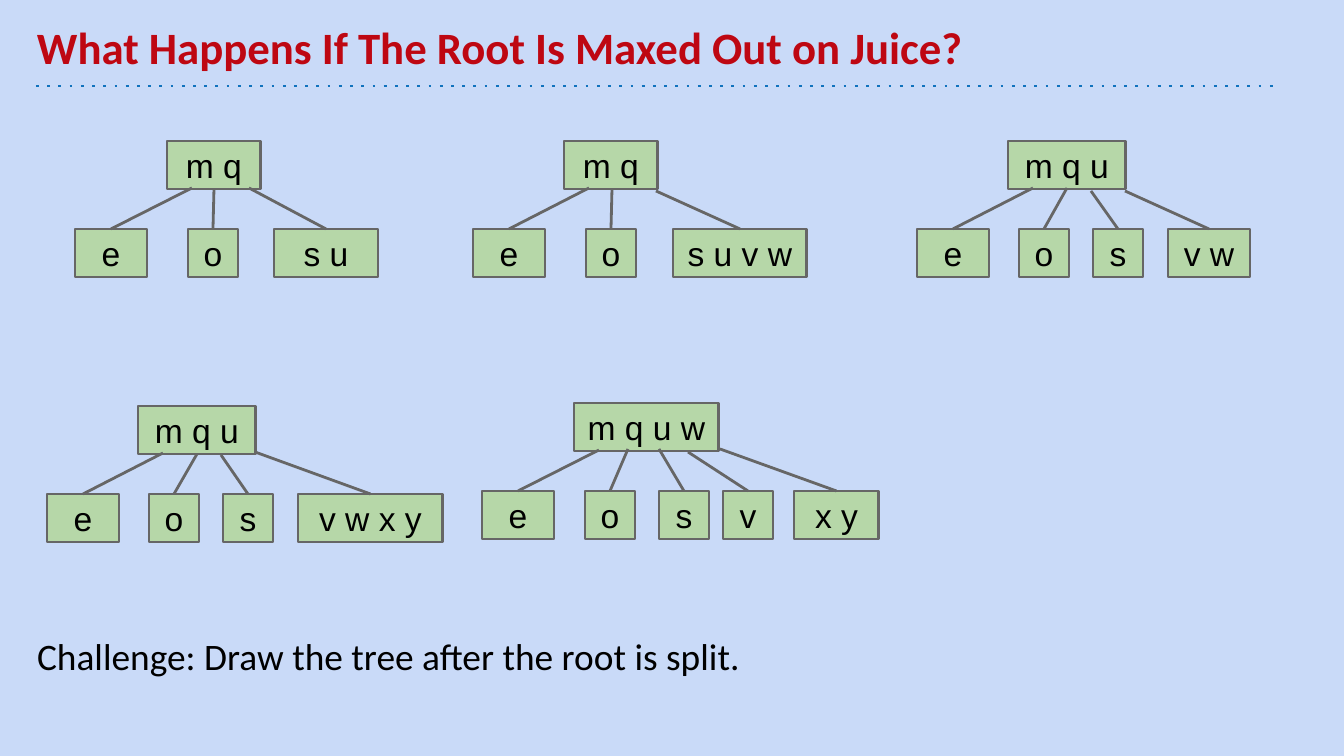
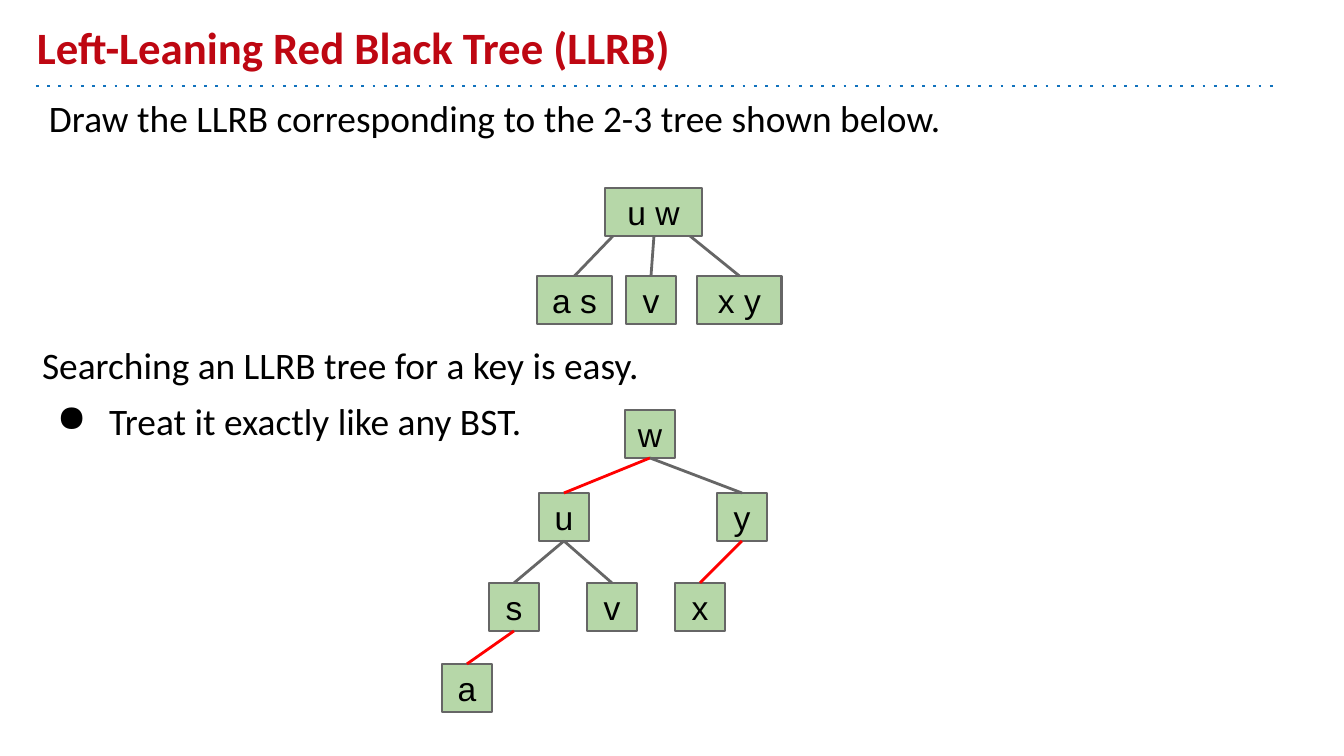
from lxml.etree import SubElement
from pptx import Presentation
from pptx.dml.color import RGBColor
from pptx.enum.shapes import MSO_CONNECTOR, MSO_SHAPE
from pptx.enum.text import MSO_ANCHOR, PP_ALIGN
from pptx.oxml.ns import qn
from pptx.util import Pt

PX = 914400 / 134.4
INSET = 13
NODE_HEIGHT = 48
CHILD_DROP = 88
KEY_WIDTH = 50
NODE_WIDTHS = {
    "e": 72, "a s": 75, "v w": 82, "x y": 85, "m q": 94, "u w": 97, "s u": 104,
    "m q u": 118, "s u v w": 134, "m q u w": 145, "v w x y": 145,
}

PALE_BLUE = "C9DAF8"
WHITE = "FFFFFF"
BLACK = "000000"
TITLE_RED = "BE0712"
RULE_BLUE = "1072BD"
NODE_GREEN = "B6D7A8"
GREY = "666666"
LINK_RED = "FF0000"

# Each tree: root keys, left, top, then children as
# (keys, left, link start from root's left edge, link start below root's bottom edge)
FILLING_TREES = [
    ("m q", 167, 141, [("e", 75, 25, -1), ("o", 188, 47, 0), ("s u", 274, 82, -1)]),
    ("m q", 564, 141, [("e", 473, 25, -1), ("o", 586, 48, 0), ("s u v w", 673, 92, 2)]),
    ("m q u", 1008, 141, [("e", 917, 25, -1), ("o", 1019, 59, -1),
                          ("s", 1093, 83, 2), ("v w", 1168, 117, 2)]),
    ("m q u", 138, 406, [("e", 47, 25, -1), ("o", 149, 59, 0),
                         ("s", 223, 83, 1), ("v w x y", 298, 117, -2)]),
    ("m q u w", 574, 403, [("e", 482, 25, -1), ("o", 585, 54, -2), ("s", 659, 85, -2),
                           ("v", 723, 114, 1), ("x y", 794, 146, -2)]),
]
TWO_THREE_TREE = ("u w", 605, 188, [("a s", 537, 8, 0), ("v", 626, 49, 0), ("x y", 697, 85, 0)])

LLRB_NODES = {"w": (625, 410), "u": (539, 493), "y": (717, 493), "s": (489, 583),
              "v": (587, 583), "x": (675, 583), "a": (442, 664)}
LLRB_LINKS = [("w", "u", LINK_RED), ("w", "y", GREY), ("u", "s", GREY),
              ("u", "v", GREY), ("y", "x", LINK_RED), ("s", "a", LINK_RED)]


def px(*lengths):
    return [round(length * PX) for length in lengths]


def color(value):
    return RGBColor.from_string(value)


def set_font(paragraph, name, size, value, bold=False):
    font = paragraph.font
    font.name, font.size, font.bold = name, Pt(size), bold
    font.color.rgb = color(value)


def set_insets(frame):
    inset = px(INSET)[0]
    frame.margin_left = frame.margin_right = inset
    frame.margin_top = frame.margin_bottom = inset


def add_text(slide, left, top, width, height, lines, size=20, value=BLACK,
             bold=False, anchor=MSO_ANCHOR.TOP):
    """Add a text box; every line after the first is a bullet."""
    box = slide.shapes.add_textbox(*px(left, top, width, height))
    frame = box.text_frame
    frame.word_wrap = True
    frame.vertical_anchor = anchor
    set_insets(frame)
    frame.text = "\n".join(lines)
    for index, paragraph in enumerate(frame.paragraphs):
        if index:
            paragraph.space_before = Pt(6)
            add_bullet(paragraph)
        set_font(paragraph, "Calibri", size, value, bold)


def add_bullet(paragraph):
    indent, hang = px(67, 52)
    properties = paragraph._p.get_or_add_pPr()
    properties.set("marL", str(indent))
    properties.set("indent", str(-hang))
    bullet_color = SubElement(properties, qn("a:buClr"))
    SubElement(bullet_color, qn("a:srgbClr"), val=BLACK)
    SubElement(properties, qn("a:buChar"), char="●")


def add_line(slide, start, end, value=GREY, dash=None):
    line = slide.shapes.add_connector(MSO_CONNECTOR.STRAIGHT, *px(*start, *end))
    line.line.color.rgb = color(value)
    line.line.width = Pt(1.5)
    properties = line.element.spPr
    if dash:
        SubElement(properties.find(qn("a:ln")), qn("a:prstDash"), val=dash)
    SubElement(properties, qn("a:effectLst"))


def node_width(keys):
    return NODE_WIDTHS.get(keys, KEY_WIDTH)


def add_node(slide, keys, left, top):
    node = slide.shapes.add_shape(
        MSO_SHAPE.RECTANGLE, *px(left, top, node_width(keys), NODE_HEIGHT))
    node.shadow.inherit = False
    node.fill.solid()
    node.fill.fore_color.rgb = color(NODE_GREEN)
    node.line.color.rgb = color(GREY)
    node.line.width = Pt(1.5)
    frame = node.text_frame
    frame.word_wrap = False
    frame.vertical_anchor = MSO_ANCHOR.MIDDLE
    set_insets(frame)
    frame.text = keys
    paragraph = frame.paragraphs[0]
    paragraph.alignment = PP_ALIGN.CENTER
    set_font(paragraph, "Arial", 18, BLACK)


def add_tree(slide, root, left, top, children):
    """Draw a root and one row of children linked to it."""
    add_node(slide, root, left, top)
    child_top = top + CHILD_DROP
    for keys, child_left, across, below in children:
        add_node(slide, keys, child_left, child_top)
        start = (left + across, top + NODE_HEIGHT + below)
        add_line(slide, start, (child_left + node_width(keys) / 2, child_top))


def add_llrb(slide):
    half = KEY_WIDTH / 2
    for key, (left, top) in LLRB_NODES.items():
        add_node(slide, key, left, top)
    for parent, child, value in LLRB_LINKS:
        parent_left, parent_top = LLRB_NODES[parent]
        child_left, child_top = LLRB_NODES[child]
        add_line(slide, (parent_left + half, parent_top + NODE_HEIGHT),
                 (child_left + half, child_top), value)


def add_page(deck, title, background):
    page = deck.slides.add_slide(deck.slide_layouts[6])
    page.background.fill.solid()
    page.background.fill.fore_color.rgb = color(background)
    add_line(page, (36, 86), (1276, 86), RULE_BLUE, "dot")
    add_text(page, 24, 13, 1210, 73, [title], 24, TITLE_RED, True, MSO_ANCHOR.BOTTOM)
    return page


def main():
    deck = Presentation()
    deck.slide_width, deck.slide_height = px(1344, 756)

    page = add_page(deck, "What Happens If The Root Is Maxed Out on Juice?", PALE_BLUE)
    add_text(page, 24, 620, 1240, 73, ["Challenge: Draw the tree after the root is split."])
    for tree in FILLING_TREES:
        add_tree(page, *tree)

    page = add_page(deck, "Left-Leaning Red Black Tree (LLRB)", WHITE)
    add_text(page, 36, 82, 1240, 93,
             ["Draw the LLRB corresponding to the 2-3 tree shown below."])
    add_tree(page, *TWO_THREE_TREE)
    add_llrb(page)
    add_text(page, 29, 329, 1240, 143,
             ["Searching an LLRB tree for a key is easy.", "Treat it exactly like any BST."])

    deck.save("out.pptx")


if __name__ == "__main__":
    main()
